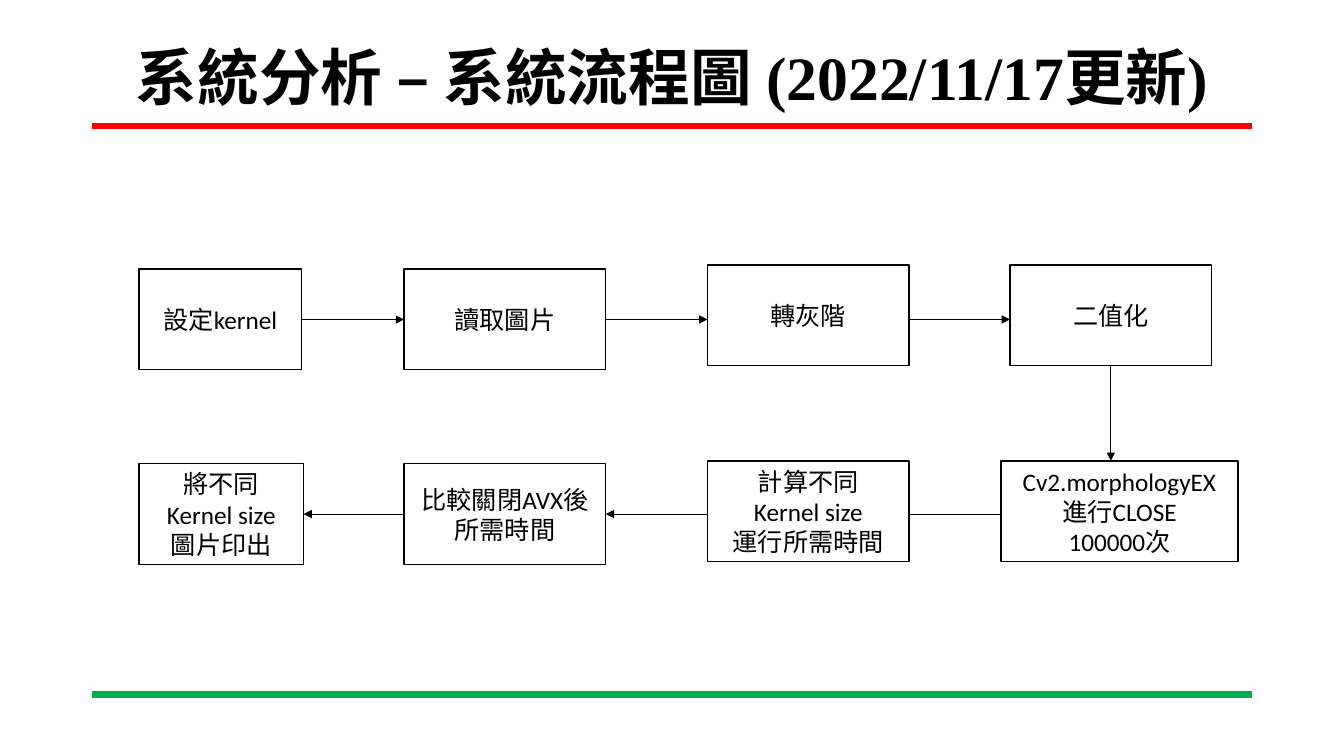
from dataclasses import dataclass
from itertools import pairwise

from lxml import etree
from pptx import Presentation
from pptx.dml.color import RGBColor
from pptx.enum import shapes, text
from pptx.oxml.ns import qn
from pptx.util import Pt


@dataclass(frozen=True)
class Theme:
    ink: RGBColor = RGBColor(0, 0, 0)
    paper: RGBColor = RGBColor(255, 255, 255)
    top_rule: RGBColor = RGBColor(255, 0, 0)
    bottom_rule: RGBColor = RGBColor(0, 176, 80)
    title_font: str = "Times New Roman"
    body_font: str = "Calibri"
    title_size: float = 44
    body_size: float = 18
    rule_width: float = 4.5
    box_width: float = 1
    arrow_width: float = 0.5


@dataclass(frozen=True)
class Step:
    left: float
    top: float
    width: float
    lines: tuple

    @property
    def right(self):
        return self.left + self.width

    @property
    def center(self):
        return self.left + self.width / 2


THEME = Theme()
MARGIN, CONTENT_WIDTH = 66, 828
BOX_HEIGHT = 72
UPPER_FLOW, LOWER_FLOW = 228.2, 367.2  # heights of the two arrow rows
HIDDEN_TIP = 6.5  # the first lower arrow ends underneath its box

# Steps in reading order: the upper row runs right, the lower row runs left
UPPER_STEPS = [
    Step(99.4, 192.2, 116, ("設定kernel",)),
    Step(288.7, 192.2, 144, ("讀取圖片",)),
    Step(505.4, 189.2, 144, ("轉灰階",)),
    Step(721.5, 189.2, 144, ("二值化",)),
]
LOWER_STEPS = [
    Step(715, 329.2, 169.2, ("Cv2.morphologyEX", "進行CLOSE", "100000次")),
    Step(505.4, 329.2, 144, ("計算不同", "Kernel size", "運行所需時間")),
    Step(288.7, 331.2, 144, ("比較關閉AVX後所需時間",)),
    Step(99.4, 331.2, 117.4, ("將不同", "Kernel size", "圖片印出")),
]


def add_run(paragraph, words, font, size, bold=False):
    paragraph.alignment = text.PP_ALIGN.CENTER
    run = paragraph.add_run()
    run.text = words
    run.font.name = font
    run.font.size = Pt(size)
    run.font.bold = bold
    run.font.color.rgb = THEME.ink


def add_title(slide, words):
    title = slide.shapes.title
    title.left, title.top = Pt(MARGIN), Pt(28.8)
    title.width, title.height = Pt(CONTENT_WIDTH), Pt(57)
    frame = title.text_frame
    frame.auto_size = text.MSO_AUTO_SIZE.NONE
    frame.vertical_anchor = text.MSO_ANCHOR.MIDDLE
    paragraph = frame.paragraphs[0]
    paragraph.line_spacing = 0.9
    add_run(paragraph, words, THEME.title_font, THEME.title_size, bold=True)


def add_line(slide, start, end, color, width):
    line = slide.shapes.add_connector(
        shapes.MSO_CONNECTOR.STRAIGHT, *map(Pt, (*start, *end)))
    line.line.color.rgb = color
    line.line.width = Pt(width)
    etree.SubElement(line._element.spPr, qn("a:effectLst"))
    return line


def add_rule(slide, top, color):
    add_line(slide, (MARGIN, top), (MARGIN + CONTENT_WIDTH, top),
             color, THEME.rule_width)


def add_arrow(slide, start, end):
    arrow = add_line(slide, start, end, THEME.ink, THEME.arrow_width)
    etree.SubElement(arrow.line._get_or_add_ln(), qn("a:tailEnd"),
                     type="triangle")


def add_step(slide, step):
    box = slide.shapes.add_shape(
        shapes.MSO_SHAPE.RECTANGLE, Pt(step.left), Pt(step.top),
        Pt(step.width), Pt(BOX_HEIGHT))
    box.shadow.inherit = False
    box.fill.solid()
    box.fill.fore_color.rgb = THEME.paper
    box.line.color.rgb = THEME.ink
    box.line.width = Pt(THEME.box_width)
    frame = box.text_frame
    frame.word_wrap = True
    frame.vertical_anchor = text.MSO_ANCHOR.MIDDLE
    for index, words in enumerate(step.lines):
        paragraph = frame.add_paragraph() if index else frame.paragraphs[0]
        add_run(paragraph, words, THEME.body_font, THEME.body_size)


def main():
    presentation = Presentation()
    presentation.slide_width, presentation.slide_height = Pt(960), Pt(540)
    slide = presentation.slides.add_slide(presentation.slide_layouts[5])

    # Title and page rules
    add_rule(slide, 90, THEME.top_rule)
    add_rule(slide, 496, THEME.bottom_rule)
    add_title(slide, "系統分析 – 系統流程圖 (2022/11/17更新)")

    # Arrows lie behind the boxes
    for step, following in pairwise(UPPER_STEPS):
        add_arrow(slide, (step.right, UPPER_FLOW), (following.left, UPPER_FLOW))
    turn = UPPER_STEPS[-1]
    add_arrow(slide, (turn.center, turn.top + BOX_HEIGHT),
              (turn.center, LOWER_STEPS[0].top))
    for index, (step, following) in enumerate(pairwise(LOWER_STEPS)):
        tip = following.right - (0 if index else HIDDEN_TIP)
        add_arrow(slide, (step.left, LOWER_FLOW), (tip, LOWER_FLOW))

    # Flow chart boxes
    for step in UPPER_STEPS + LOWER_STEPS:
        add_step(slide, step)

    presentation.save("out.pptx")


main()
